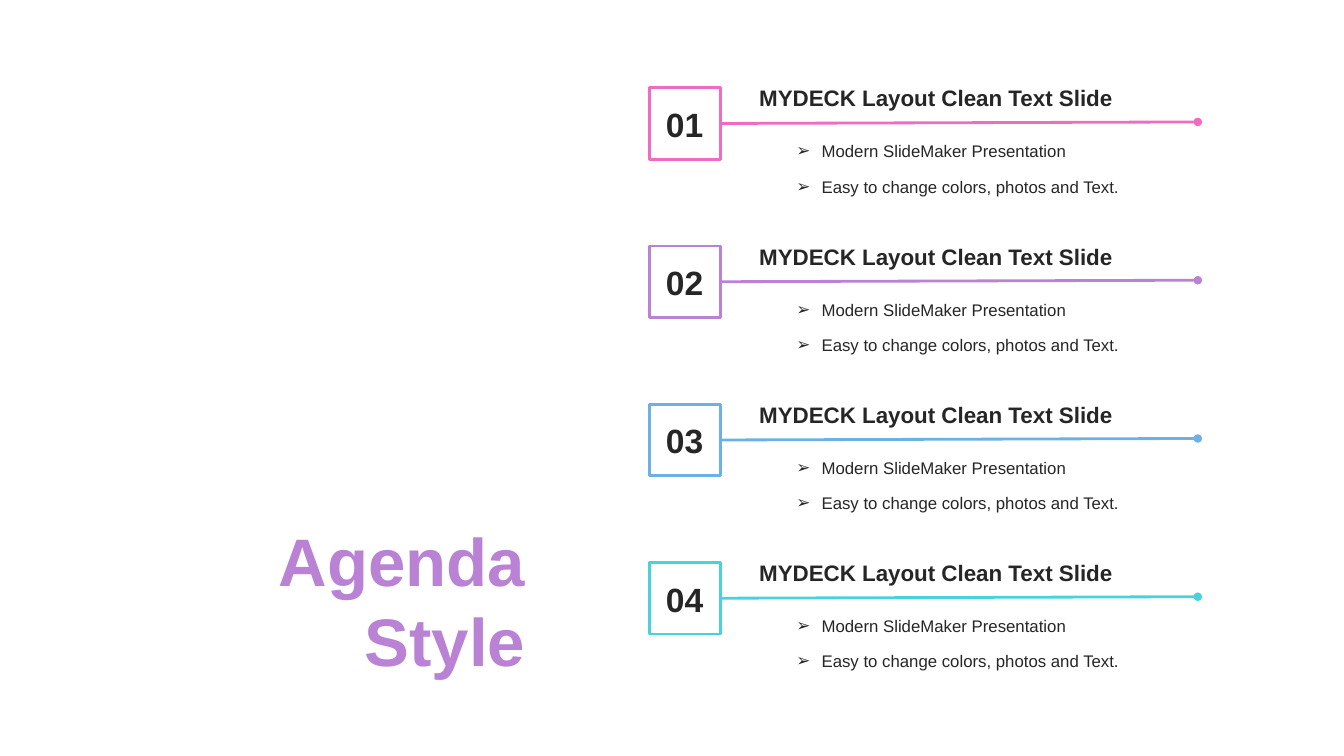
from lxml import etree
from pptx import Presentation
from pptx import util as u
from pptx.dml.color import RGBColor
from pptx.enum import shapes, text
from pptx.oxml import ns

PINK = RGBColor(0xEE, 0x6C, 0xC1)
VIOLET = RGBColor(0xB9, 0x82, 0xD5)
BLUE = RGBColor(0x6D, 0xB0, 0xE4)
TEAL = RGBColor(0x47, 0xD3, 0xDC)
INK = RGBColor(0x26, 0x26, 0x26)
WHITE = RGBColor(0xFF, 0xFF, 0xFF)

SCALE = 9144
FONT = "Arial"
STEP = 157
HEAD = "MYDECK Layout Clean Text Slide"
POINTS = ("Modern SlideMaker Presentation", "Easy to change colors, photos and Text.")


def px(n):
    return u.Emu(n * SCALE)


def sub(parent, tag, **attrs):
    return etree.SubElement(parent, ns.qn(tag), attrs)


class Page:
    def __init__(self, slide):
        self.items = slide.shapes

    def label(self, x, y, w, h, words, size, bold=False, align=None, inset=10, bullet=None):
        box = self.items.add_textbox(px(x), px(y), px(w), px(h))
        frame = box.text_frame
        frame.word_wrap = True
        frame.auto_size = text.MSO_AUTO_SIZE.SHAPE_TO_FIT_TEXT
        frame.margin_left = frame.margin_right = px(inset)
        frame.margin_top = frame.margin_bottom = px(5)
        para = frame.paragraphs[0]
        para.text = words
        if align is not None:
            para.alignment = align
        if bullet:
            props = para._p.get_or_add_pPr()
            props.set("marL", str(px(25)))
            props.set("indent", str(px(-25)))
            sub(props, "a:buFont", typeface=FONT)
            sub(props, "a:buChar", char=bullet)
        font = para.font
        font.name, font.size, font.bold = FONT, u.Pt(size), bold
        font.color.rgb = INK
        return frame

    def title(self, x, y, w, h, words, stops):
        frame = self.label(x, y, w, h, words, 48, True, text.PP_ALIGN.RIGHT)
        frame.vertical_anchor = text.MSO_ANCHOR.MIDDLE
        run = frame.paragraphs[0].runs[0]
        run.font.fill.gradient()
        run.font.fill.gradient_angle = 180
        marks = run._r.rPr.find(ns.qn("a:gradFill")).find(ns.qn("a:gsLst"))
        for mark in list(marks):
            marks.remove(mark)
        for place, color in stops:
            mark = sub(marks, "a:gs", pos=str(place * 1000))
            sub(mark, "a:srgbClr", val=str(color))

    def square(self, x, y, side, color):
        box = self.items.add_shape(shapes.MSO_SHAPE.RECTANGLE, px(x), px(y), px(side), px(side))
        box.shadow.inherit = False
        box.fill.solid()
        box.fill.fore_color.rgb = WHITE
        box.line.color.rgb = color
        box.line.width = u.Pt(2)
        return box

    def rule(self, box, x, y, color):
        line = self.items.add_connector(
            shapes.MSO_CONNECTOR.STRAIGHT, box.left + box.width, box.top + box.height // 2, px(x), px(y))
        line.begin_connect(box, 3)
        line.line.color.rgb = color
        line.line.width = u.Pt(2)
        sub(line.line._get_or_add_ln(), "a:tailEnd", type="oval")
        sub(line._element.spPr, "a:effectLst")

    def topic(self, num, y, color):
        self.label(741, y, 382, 37, HEAD, 16, True, inset=12)
        for row, point in enumerate(POINTS):
            self.label(780, y + 56 + 35 * row, 341, 30, point, 12, bullet="➢")
        box = self.square(644, y + 8, 71, color)
        self.rule(box, 1188, y + 42, color)
        self.label(648, y + 19, 62, 50, f"{num:02}", 24, True, text.PP_ALIGN.CENTER, 12)


def main():
    deck = Presentation()
    deck.slide_width, deck.slide_height = px(1333), px(750)
    page = Page(deck.slides.add_slide(deck.slide_layouts[6]))
    colors = (PINK, VIOLET, BLUE, TEAL)
    page.title(115, 509, 416, 172, "Agenda Style", zip((0, 35, 70, 100), colors))
    for row, color in enumerate(colors):
        page.topic(row + 1, 79 + STEP * row, color)
    deck.save("out.pptx")


if __name__ == "__main__":
    main()
